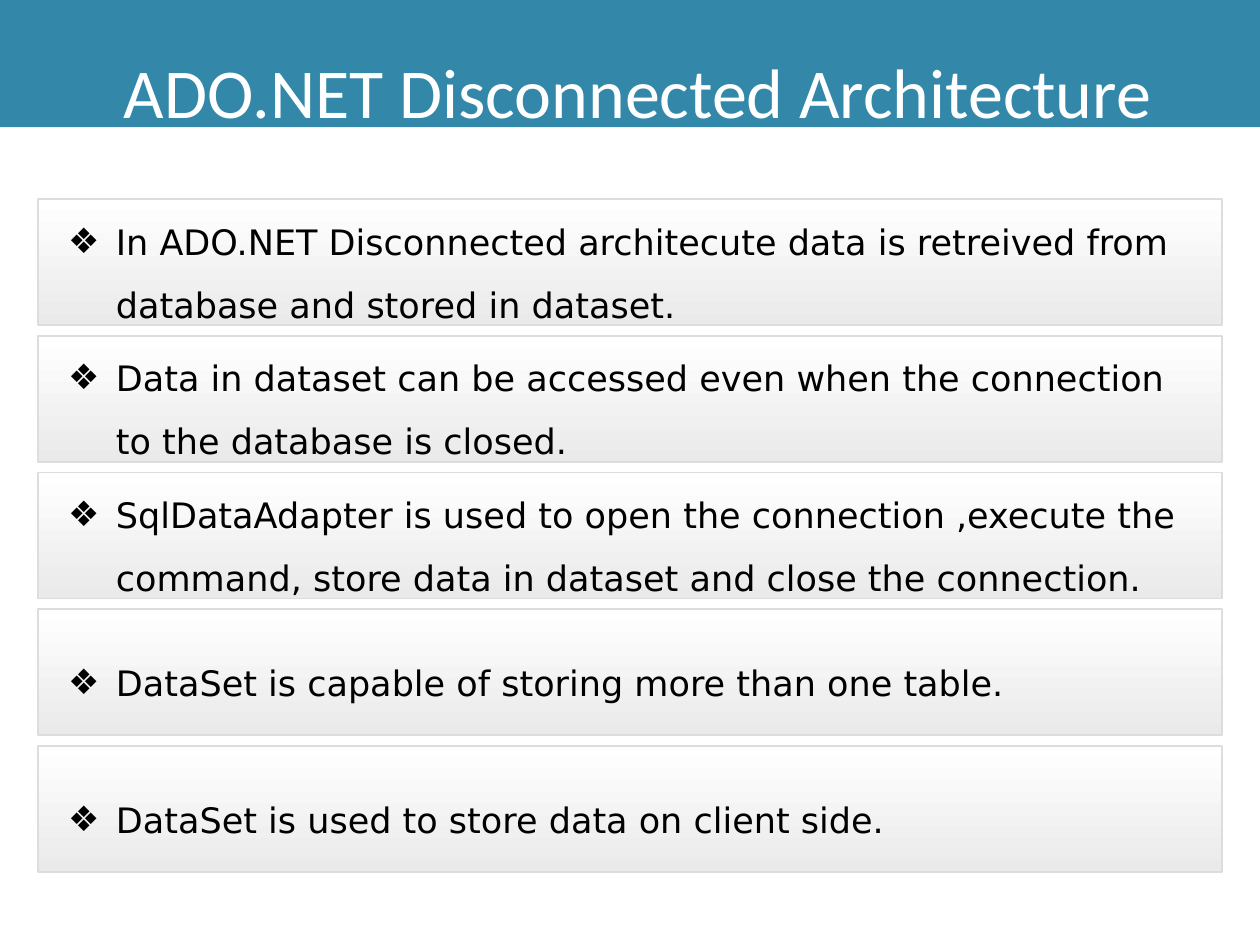
import dataclasses

import lxml.etree
import pptx
import pptx.dml.color
import pptx.enum.shapes
import pptx.enum.text
import pptx.oxml.ns
import pptx.shapes.autoshape
import pptx.slide
import pptx.text.text
import pptx.util

Inches = pptx.util.Inches
Pt = pptx.util.Pt
Anchor = pptx.enum.text.MSO_ANCHOR

COLORS = {
    "banner": "3388A9",
    "title": "FFFFFF",
    "text": "000000",
    "card_top": "FFFFFF",
    "card_bottom": "EAEAEA",
    "card_line": "DDDDDD",
}
TITLE_FONT = {"name": "Calibri", "size": Pt(40)}
POINT_FONT = {"name": "DejaVu Sans", "size": Pt(20)}
TITLE_PARA = {"alignment": pptx.enum.text.PP_ALIGN.CENTER, "line_spacing": 1.5}
POINT_PARA = {"alignment": pptx.enum.text.PP_ALIGN.LEFT, "line_spacing": 1.5}
CARD_MARGINS = {
    "margin_left": Inches(0.24),
    "margin_right": Inches(0.24),
    "margin_top": 0,
    "margin_bottom": 0,
}
FIRST_TOP, LAST_TOP = 1.58, 5.92


@dataclasses.dataclass
class Point:
    text: str
    anchor: Anchor = Anchor.TOP
    space_before: float = 0


# Two-line points start 8 pt below the top edge of their card.
POINTS = [
    Point("In ADO.NET Disconnected architecute data is retreived from "
          "database and stored in dataset."),
    Point("Data in dataset can be accessed even when the connection "
          "to the database is closed."),
    Point("SqlDataAdapter is used to open the connection ,execute the "
          "command, store data in dataset and close the connection."),
    Point("DataSet is capable of storing more than one table.", Anchor.MIDDLE),
    Point("DataSet is used to store data on client side.", Anchor.MIDDLE),
]


def rgb(name: str) -> pptx.dml.color.RGBColor:
    return pptx.dml.color.RGBColor.from_string(COLORS[name])


def set_all(target: object, values: dict) -> None:
    for name, value in values.items():
        setattr(target, name, value)


def set_indent(para: pptx.text.text._Paragraph, left: float, first: float) -> None:
    properties = para._p.get_or_add_pPr()
    properties.set("marL", str(Inches(left)))
    properties.set("indent", str(Inches(first)))


def add_bullet(para: pptx.text.text._Paragraph, symbol: str) -> None:
    properties = para._p.get_or_add_pPr()
    qn = pptx.oxml.ns.qn
    color = lxml.etree.SubElement(properties, qn("a:buClr"))
    lxml.etree.SubElement(color, qn("a:srgbClr"), val=COLORS["text"])
    lxml.etree.SubElement(properties, qn("a:buFont"), typeface=POINT_FONT["name"])
    lxml.etree.SubElement(properties, qn("a:buChar"), char=symbol)


def add_box(
    slide: pptx.slide.Slide, left: float, top: float, width: float, height: float
) -> pptx.shapes.autoshape.Shape:
    box = slide.shapes.add_shape(
        pptx.enum.shapes.MSO_SHAPE.RECTANGLE,
        Inches(left), Inches(top), Inches(width), Inches(height),
    )
    box.shadow.inherit = False
    box.text_frame.word_wrap = True
    return box


def write(para: pptx.text.text._Paragraph, text: str, font: dict, color: str) -> None:
    span = para.add_run()
    span.text = text
    set_all(span.font, font)
    span.font.color.rgb = rgb(color)


def add_banner(slide: pptx.slide.Slide, title: str) -> None:
    box = add_box(slide, 0, 0, 10, 1.01)
    box.fill.solid()
    box.fill.fore_color.rgb = rgb("banner")
    box.line.fill.background()
    box.text_frame.vertical_anchor = Anchor.TOP
    para = box.text_frame.paragraphs[0]
    set_indent(para, 0.85, -0.73)
    set_all(para, TITLE_PARA)
    write(para, title, TITLE_FONT, "title")


def add_card(slide: pptx.slide.Slide, top: float, point: Point) -> None:
    box = add_box(slide, 0.3, top, 9.4, 1)
    box.fill.gradient()
    box.fill.gradient_angle = 270
    for stop, position, color in zip(
        box.fill.gradient_stops, (0, 1), ("card_top", "card_bottom")
    ):
        stop.position = position
        stop.color.rgb = rgb(color)
    box.line.color.rgb = rgb("card_line")
    box.line.width = Pt(1)
    set_all(box.text_frame, CARD_MARGINS)
    box.text_frame.vertical_anchor = point.anchor
    para = box.text_frame.paragraphs[0]
    set_indent(para, 0.38, -0.38)
    add_bullet(para, "❖")
    set_all(para, POINT_PARA)
    para.space_before = Pt(point.space_before)
    write(para, point.text, POINT_FONT, "text")


def main() -> None:
    deck = pptx.Presentation()
    deck.slide_width, deck.slide_height = Inches(10), Inches(7.5)
    page = deck.slides.add_slide(deck.slide_layouts[6])
    add_banner(page, "ADO.NET Disconnected Architecture")
    pitch = (LAST_TOP - FIRST_TOP) / (len(POINTS) - 1)
    for index, point in enumerate(POINTS):
        add_card(page, FIRST_TOP + index * pitch, point)
    deck.save("out.pptx")


if __name__ == "__main__":
    main()
